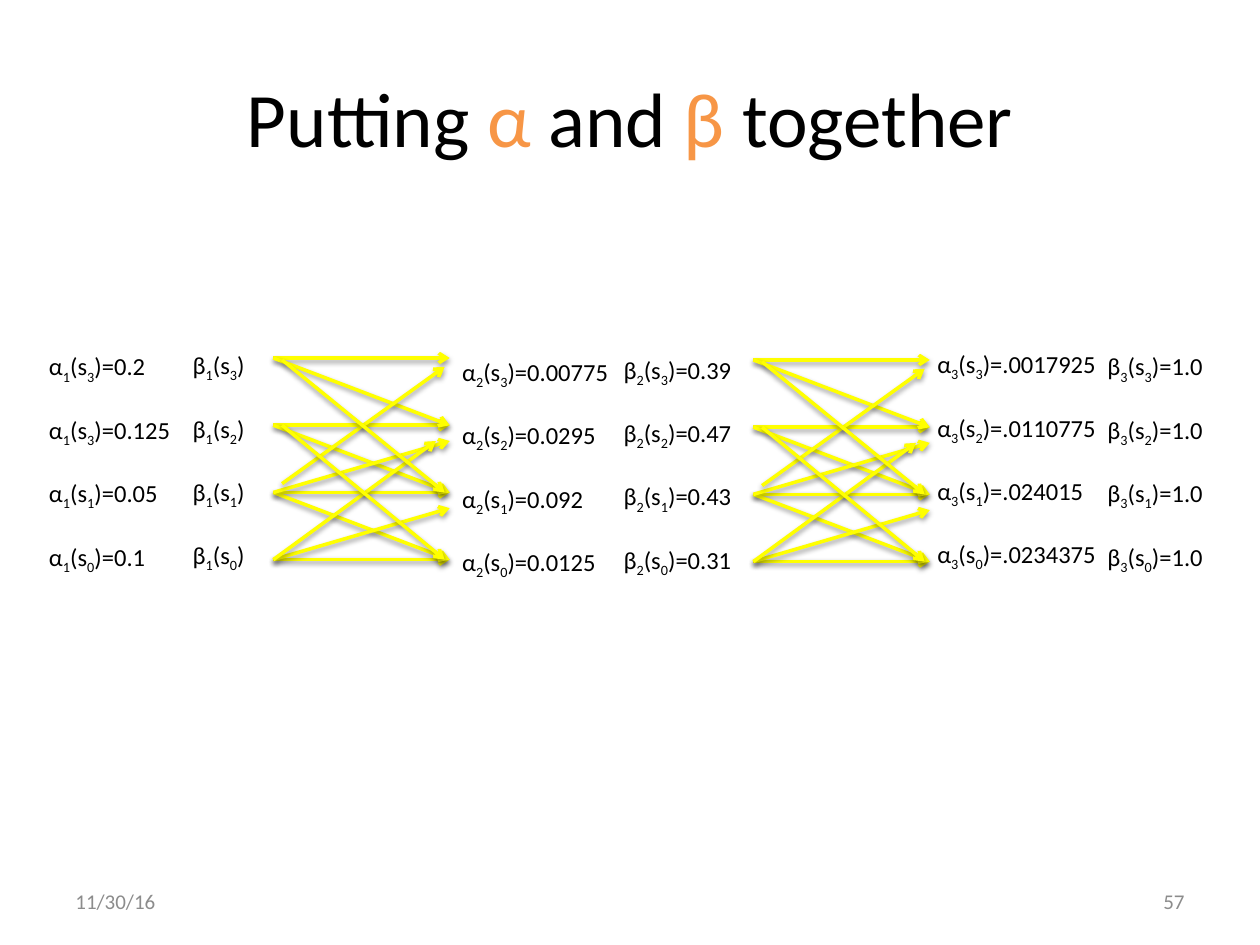
from lxml import etree
from pptx import Presentation
from pptx.dml.color import RGBColor
from pptx.enum import shapes, text
from pptx.oxml import ns
from pptx.util import Pt

BLACK, ORANGE, GREY, YELLOW = "000000", "F79646", "8C8C8C", "FFFF00"
FONT = "Calibri"
ROW = 38.4
SPAN = 100.8


def paint(code):
    return RGBColor.from_string(code)


def child(node, tag, **attrs):
    return etree.SubElement(node, ns.qn(tag), attrs)


class Deck:
    """Holds the style and the current slide, and adds each kind of element."""

    def __init__(self):
        self.prs = Presentation()
        self.prs.slide_width, self.prs.slide_height = Pt(720), Pt(540)
        self.slide = self.prs.slides.add_slide(self.prs.slide_layouts[5])

    def run(self, para, words, size, color=BLACK, sub=False):
        run = para.add_run()
        run.text = words
        font = run.font
        font.name, font.size = FONT, Pt(size)
        font.color.rgb = paint(color)
        if sub:
            run._r.get_or_add_rPr().set("baseline", "-25000")

    def title(self, parts):
        box = self.slide.shapes.title
        box.left, box.top, box.width, box.height = Pt(36), Pt(21.6), Pt(648), Pt(90)
        frame = box.text_frame
        frame.vertical_anchor = text.MSO_ANCHOR.MIDDLE
        para = frame.paragraphs[0]
        para.alignment = text.PP_ALIGN.CENTER
        for words, color in parts:
            self.run(para, words, 44, color)

    def footer(self, left, words, align):
        box = self.slide.shapes.add_textbox(Pt(left), Pt(500.5), Pt(168), Pt(28.75))
        frame = box.text_frame
        frame.word_wrap = True
        frame.vertical_anchor = text.MSO_ANCHOR.MIDDLE
        para = frame.paragraphs[0]
        para.alignment = align
        self.run(para, words, 12, GREY)

    def column(self, left, top, width, name, time, rows):
        box = self.slide.shapes.add_textbox(Pt(left), Pt(top), Pt(width), Pt(126))
        frame = box.text_frame
        frame.word_wrap = False
        frame.auto_size = text.MSO_AUTO_SIZE.SHAPE_TO_FIT_TEXT
        for i, (state, value) in enumerate(rows):
            para = frame.add_paragraph() if i else frame.paragraphs[0]
            if i:
                para.space_before = Pt(17.1)
            parts = [name, time, "(s", state, ")" + value]
            for k, words in enumerate(parts):
                self.run(para, words, 14, sub=k in (1, 3))

    def arrow(self, group, x1, y1, x2, y2):
        line = group.shapes.add_connector(
            shapes.MSO_CONNECTOR.STRAIGHT, Pt(x1), Pt(y1), Pt(x2), Pt(y2))
        line.line.color.rgb = paint(YELLOW)
        line.line.width = Pt(2)
        child(line.line._get_or_add_ln(), "a:tailEnd", type="arrow")
        effects = child(line._element.spPr, "a:effectLst")
        shade = child(effects, "a:outerShdw", blurRad=str(Pt(3.1)),
                      dist=str(Pt(1.6)), dir="5400000", rotWithShape="0")
        tint = child(shade, "a:srgbClr", val=BLACK)
        child(tint, "a:alpha", val="38000")

    def lattice(self, left, top):
        group = self.slide.shapes.add_group_shape()
        level = [(0, i * ROW, SPAN, i * ROW) for i in (1, 2, 3, 0)]
        down = [(0, i * ROW, SPAN, (i + 1) * ROW) for i in range(3)]
        rise = [(0, i * ROW, SPAN, (i - 1) * ROW + 9) for i in (3, 2)]
        steep = [(0, 3 * ROW, 92.9, ROW + 9), (5, 2 * ROW - 5, 97.9, 5),
                 (5, ROW, 97.9, 3 * ROW), (5, 1, 97.9, 2 * ROW)]
        for x1, y1, x2, y2 in level + down + rise + steep:
            self.arrow(group, left + x1, top + y1, left + x2, top + y2)


def main():
    deck = Deck()
    deck.title([("Putting ", BLACK), ("α", ORANGE), (" and ", BLACK),
                ("β ", ORANGE), ("together", BLACK)])
    deck.footer(36, "11/30/16", text.PP_ALIGN.LEFT)
    deck.footer(516, "57", text.PP_ALIGN.RIGHT)
    deck.lattice(156.2, 204.6)
    deck.lattice(430.5, 205.7)
    columns = [
        (20.9, 197.3, 85.7, "α", "1", "3310", ["=0.2", "=0.125", "=0.05", "=0.1"]),
        (257, 200.4, 100, "α", "2", "3210",
         ["=0.00775", "=0.0295", "=0.092", "=0.0125"]),
        (528.5, 196, 107.3, "α", "3", "3210",
         ["=.0017925", "=.0110775", "=.024015", "=.0234375"]),
        (349.2, 199.2, 78.5, "β", "2", "3210", ["=0.39", "=0.47", "=0.43", "=0.31"]),
        (625.7, 197.3, 70.6, "β", "3", "3210", ["=1.0"] * 4),
        (103, 196.6, 45.4, "β", "1", "3210", [""] * 4),
    ]
    for left, top, width, name, time, states, values in columns:
        deck.column(left, top, width, name, time, zip(states, values))
    deck.prs.save("out.pptx")


if __name__ == "__main__":
    main()
